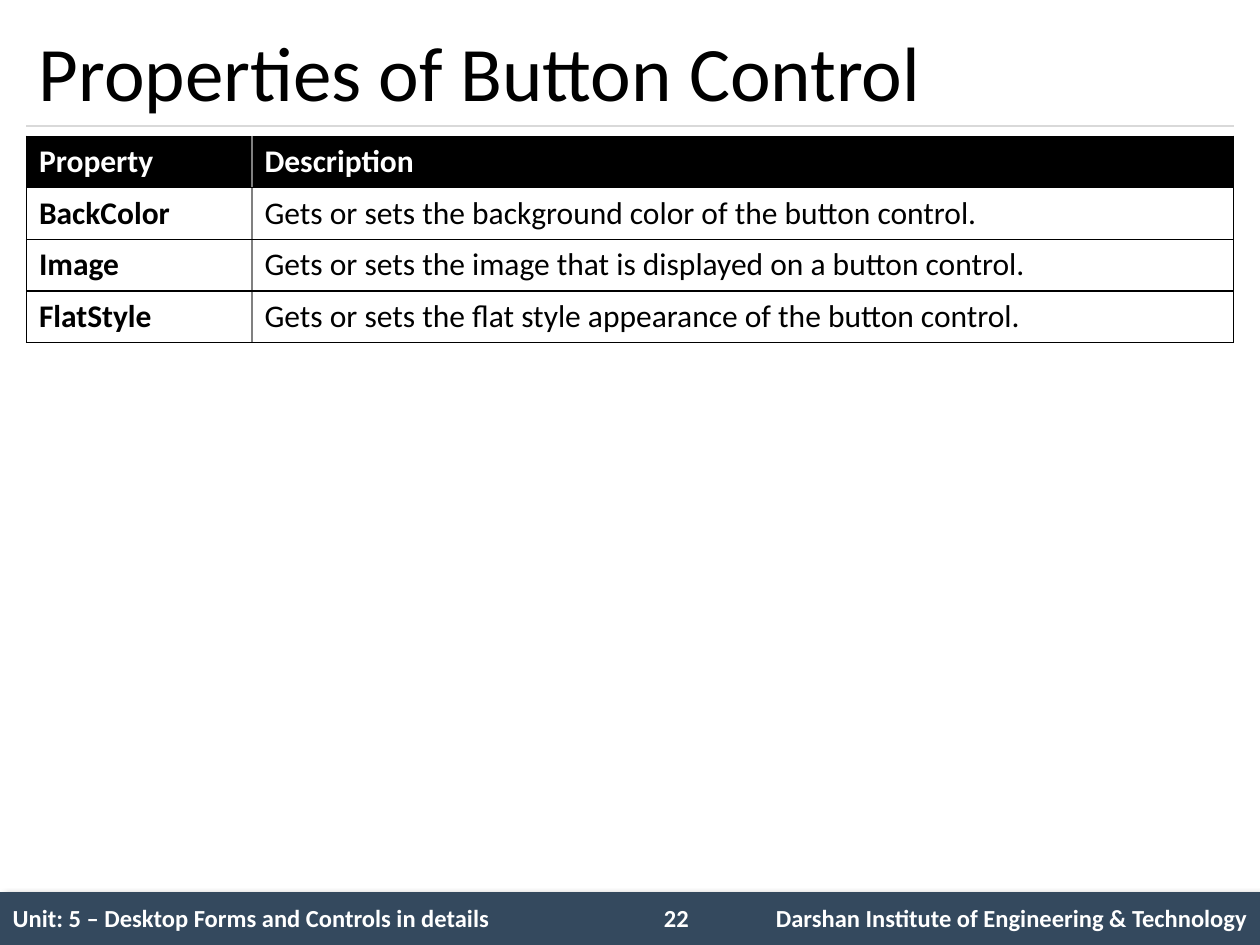
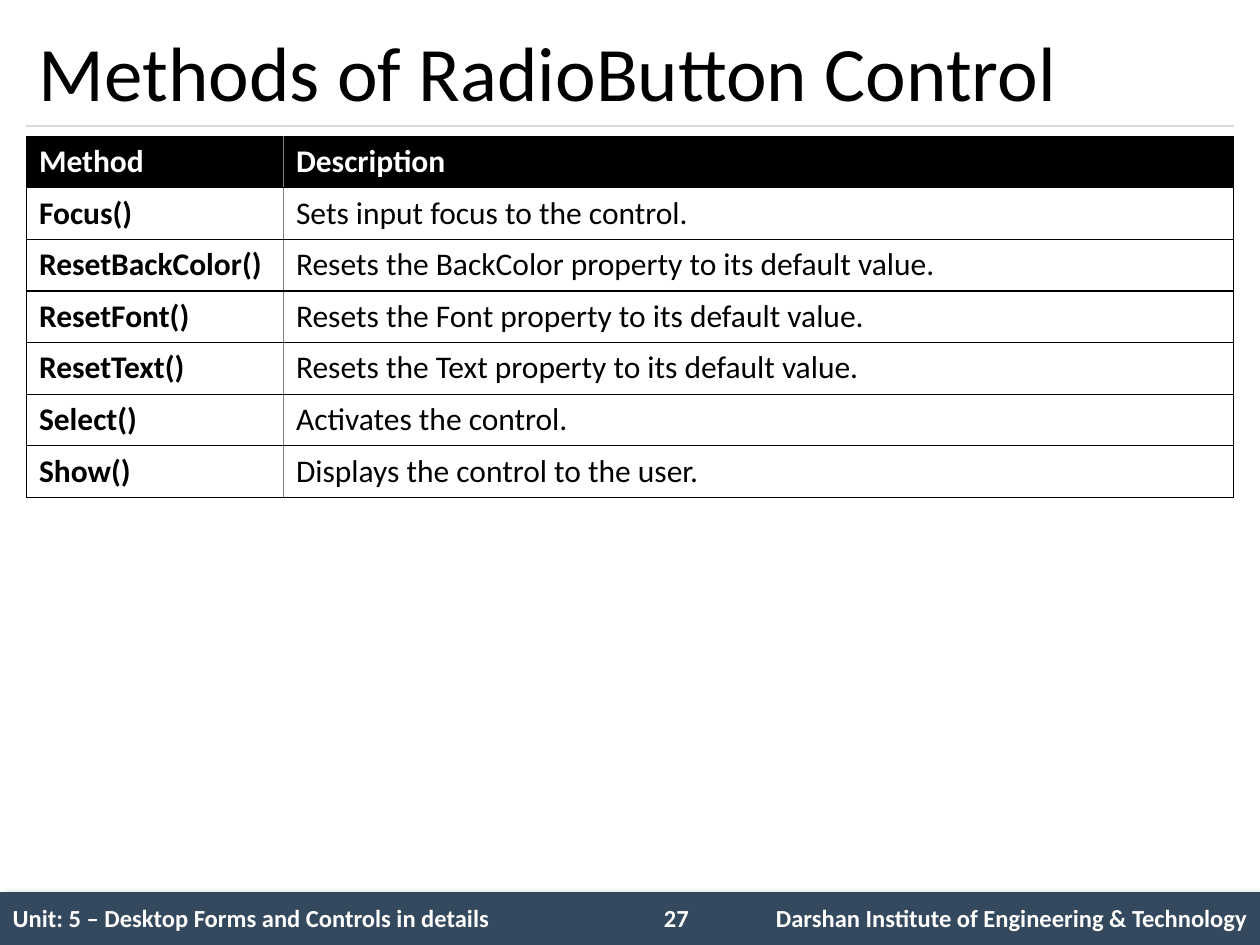
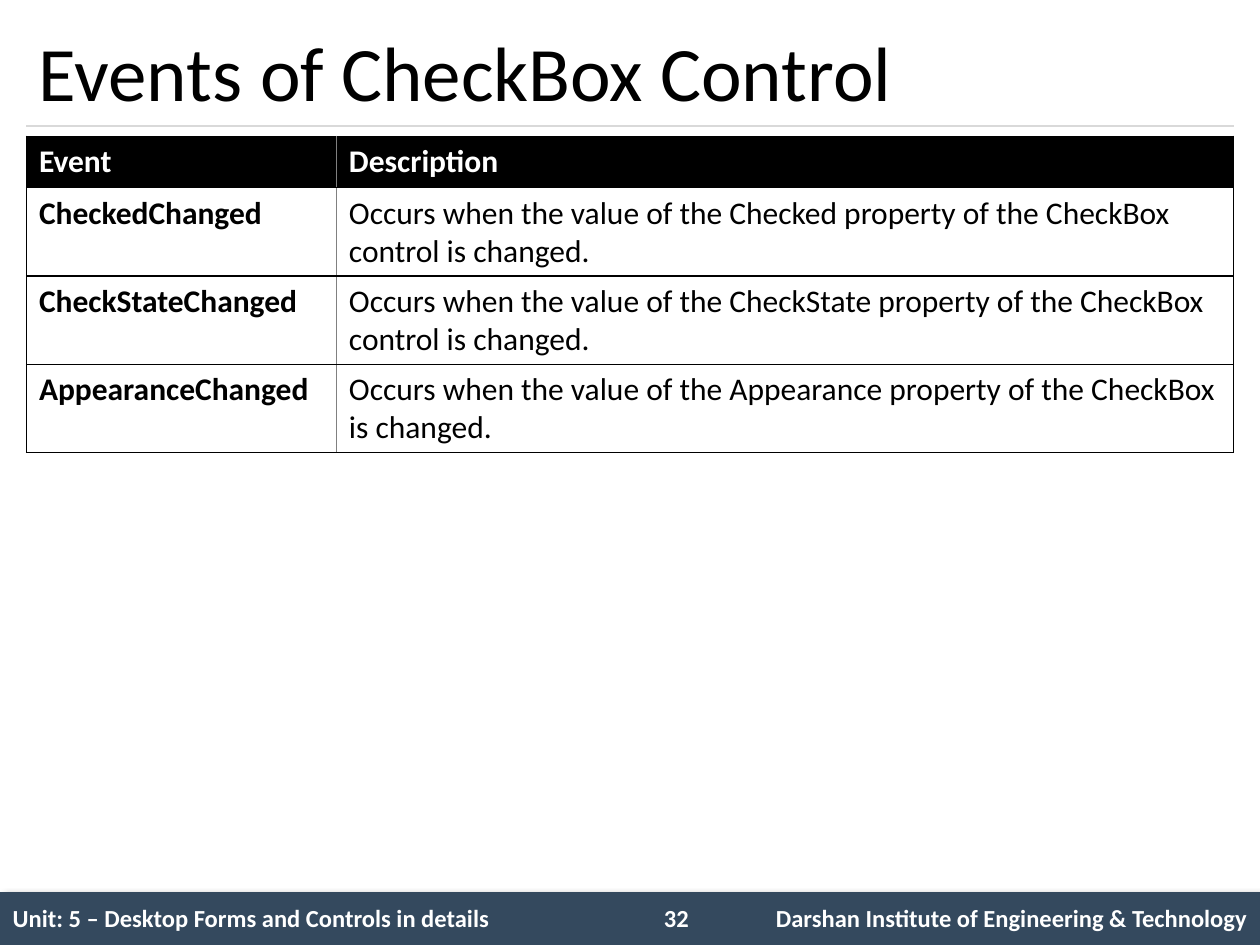
"""Build three reference slides on form controls, each with a title, a table and a footer."""
from lxml.etree import SubElement
from pptx import Presentation
from pptx.dml.color import RGBColor
from pptx.enum.shapes import MSO_CONNECTOR as Connector, MSO_SHAPE as Shape
from pptx.enum.text import MSO_ANCHOR as Anchor, PP_ALIGN as Align
from pptx.oxml.ns import qn
from pptx.util import Inches, Pt

COLORS = {"black": "000000", "white": "FFFFFF", "band": "34495E", "rule": "D9D9D9", "divider": "808080"}
FORMATS = {
    "title": {"size": Pt(44), "bold": False, "color": "black"},
    "header": {"size": Pt(18), "bold": True, "color": "white"},
    "name": {"size": Pt(18), "bold": True, "color": "black"},
    "description": {"size": Pt(18), "bold": False, "color": "black"},
    "footer": {"size": Pt(14), "bold": True, "color": "white"},
}
FONT = "Calibri"
PLAIN_TABLE = "{2D5ABB26-0587-4C30-8999-92F81FD0307C}"
OUTER, DIVIDER = ("black", 0.75), ("divider", 1)
WIDTH, HEIGHT, MARGIN = 10, 7.5, 0.21
CONTENT_WIDTH = WIDTH - 2 * MARGIN
BAND_TOP, TABLE_TOP, ROW_HEIGHT = 7.08, 1.08, 0.41

UNIT = "Unit: 5 – Desktop Forms and Controls in details"
INSTITUTE = "Darshan Institute of Engineering & Technology"
FOOTER_WIDTHS = [5.08, 0.67, 4.25]

SLIDES = [
    {
        "title": "Properties of Button Control", "number": 22,
        "name_width": 1.79, "body_height": ROW_HEIGHT, "align": Align.JUSTIFY,
        "rows": [
            ("Property", "Description"),
            ("BackColor", "Gets or sets the background color of the button control."),
            ("Image", "Gets or sets the image that is displayed on a button control."),
            ("FlatStyle", "Gets or sets the flat style appearance of the button control."),
        ],
    },
    {
        "title": "Methods of RadioButton Control", "number": 27,
        "name_width": 2.04, "body_height": ROW_HEIGHT, "align": Align.LEFT,
        "rows": [
            ("Method", "Description"),
            ("Focus()", "Sets input focus to the control."),
            ("ResetBackColor()", "Resets the BackColor property to its default value."),
            ("ResetFont()", "Resets the Font property to its default value."),
            ("ResetText()", "Resets the Text property to its default value."),
            ("Select()", "Activates the control."),
            ("Show()", "Displays the control to the user."),
        ],
    },
    {
        "title": "Events of CheckBox Control", "number": 32,
        "name_width": 2.46, "body_height": 0.7, "align": Align.LEFT,
        "rows": [
            ("Event", "Description"),
            ("CheckedChanged", "Occurs when the value of the Checked property of the CheckBox control is changed."),
            ("CheckStateChanged", "Occurs when the value of the CheckState property of the CheckBox control is changed."),
            ("AppearanceChanged", "Occurs when the value of the Appearance property of the CheckBox is changed."),
        ],
    },
]


def rgb(name):
    return RGBColor.from_string(COLORS[name])


def write(frame, text, style, align=Align.LEFT):
    para = frame.paragraphs[0]
    para.alignment = align
    span = para.add_run()
    span.text = text
    span.font.name = FONT
    for key, value in FORMATS[style].items():
        if key == "color":
            span.font.color.rgb = rgb(value)
        else:
            setattr(span.font, key, value)


def add_text(page, place, text, style, anchor=Anchor.TOP):
    box = page.shapes.add_textbox(*map(Inches, place))
    box.text_frame.word_wrap = True
    box.text_frame.vertical_anchor = anchor
    write(box.text_frame, text, style)


def add_table(page, left, top, widths, heights):
    frame = page.shapes.add_table(
        len(heights), len(widths), *map(Inches, (left, top, sum(widths), sum(heights))))
    table = frame.table
    table._tbl.tblPr.find(qn("a:tableStyleId")).text = PLAIN_TABLE
    table.first_row = table.horz_banding = False
    for column, width in zip(table.columns, widths):
        column.width = Inches(width)
    for row, height in zip(table.rows, heights):
        row.height = Inches(height)
    return table


def set_borders(cell, borders):
    properties = cell._tc.get_or_add_tcPr()
    for side, (color, width) in borders.items():
        line = SubElement(properties, qn(f"a:ln{side}"), w=str(Pt(width)))
        fill = SubElement(line, qn("a:solidFill"))
        SubElement(fill, qn("a:srgbClr"), val=COLORS[color])


def add_band(page):
    band = page.shapes.add_shape(
        Shape.RECTANGLE, *map(Inches, (0, BAND_TOP, WIDTH, HEIGHT - BAND_TOP)))
    band.shadow.inherit = False
    band.fill.solid()
    band.fill.fore_color.rgb = rgb("band")
    band.line.fill.background()
    effects = band._element.spPr.find(qn("a:effectLst"))
    shadow = SubElement(effects, qn("a:outerShdw"), blurRad=str(Pt(4)), dist=str(Pt(3)),
                        dir="2700000", algn="tl", rotWithShape="0")
    color = SubElement(shadow, qn("a:srgbClr"), val=COLORS["black"])
    SubElement(color, qn("a:alpha"), val="40000")


def add_rule(page):
    rule = page.shapes.add_connector(
        Connector.STRAIGHT, *map(Inches, (MARGIN, 1, WIDTH - MARGIN, 1)))
    rule.line.color.rgb = rgb("rule")
    rule.line.width = Pt(0.75)
    SubElement(rule._element.spPr, qn("a:effectLst"))


def add_footer(page, number):
    table = add_table(page, 0, BAND_TOP, FOOTER_WIDTHS, [0.43])
    for column, text, align in ((0, UNIT, Align.LEFT), (2, INSTITUTE, Align.RIGHT)):
        cell = table.cell(0, column)
        cell.vertical_anchor = Anchor.MIDDLE
        write(cell.text_frame, text, "footer", align)
    add_text(page, (5.17, 7.12, 0.58, 0.34), str(number), "footer")


def add_members(page, content):
    rows, name_width = content["rows"], content["name_width"]
    heights = [ROW_HEIGHT] + [content["body_height"]] * (len(rows) - 1)
    table = add_table(page, MARGIN, TABLE_TOP, [name_width, CONTENT_WIDTH - name_width], heights)
    for row, texts in enumerate(rows):
        for column, text in enumerate(texts):
            cell = table.cell(row, column)
            left, right = (DIVIDER, OUTER) if column else (OUTER, DIVIDER)
            set_borders(cell, {"L": left, "R": right, "T": OUTER, "B": OUTER})
            cell.fill.solid()
            cell.fill.fore_color.rgb = rgb("white" if row else "black")
            style = ("name", "description")[column] if row else "header"
            align = content["align"] if row and column else Align.LEFT
            write(cell.text_frame, text, style, align)


def main():
    deck = Presentation()
    deck.slide_width, deck.slide_height = Inches(WIDTH), Inches(HEIGHT)
    for content in SLIDES:
        page = deck.slides.add_slide(deck.slide_layouts[6])
        add_band(page)
        add_rule(page)
        add_footer(page, content["number"])
        add_text(page, (MARGIN, 0.12, CONTENT_WIDTH, 0.88), content["title"], "title", Anchor.MIDDLE)
        add_members(page, content)
    deck.save("out.pptx")


if __name__ == "__main__":
    main()
